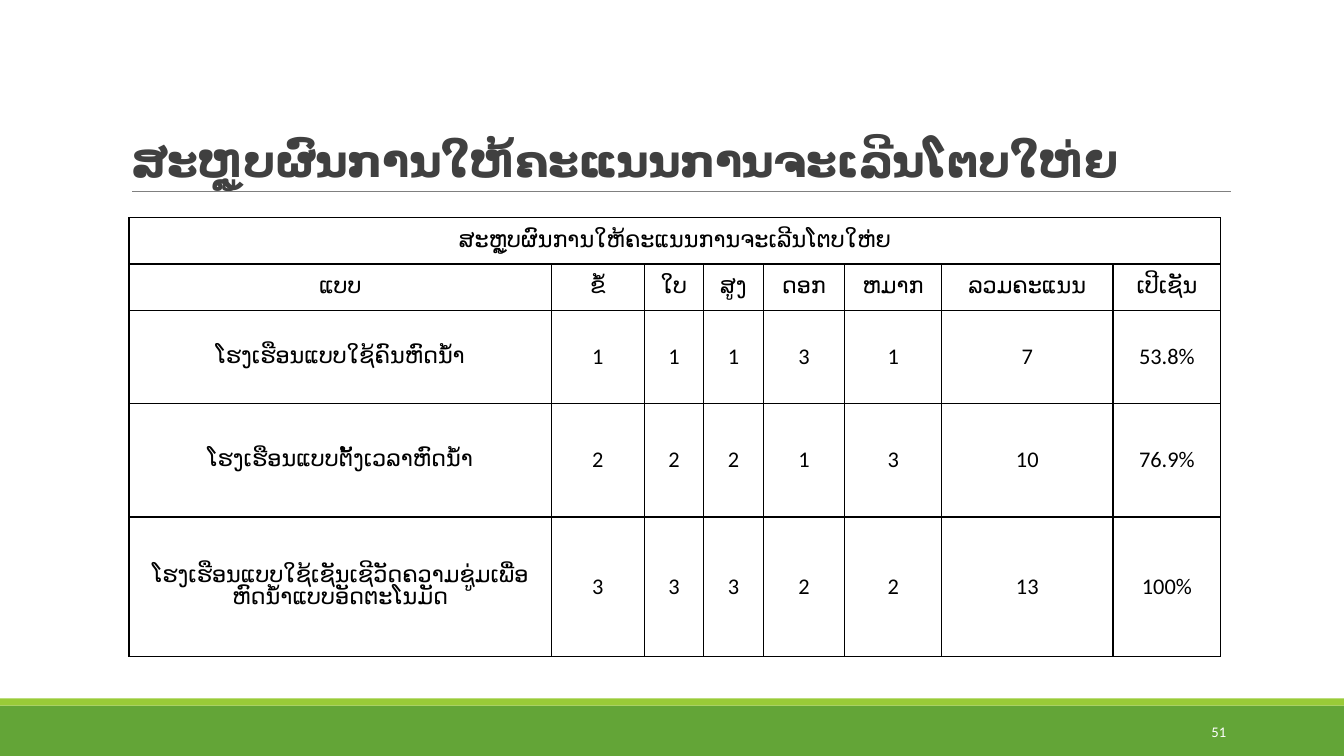
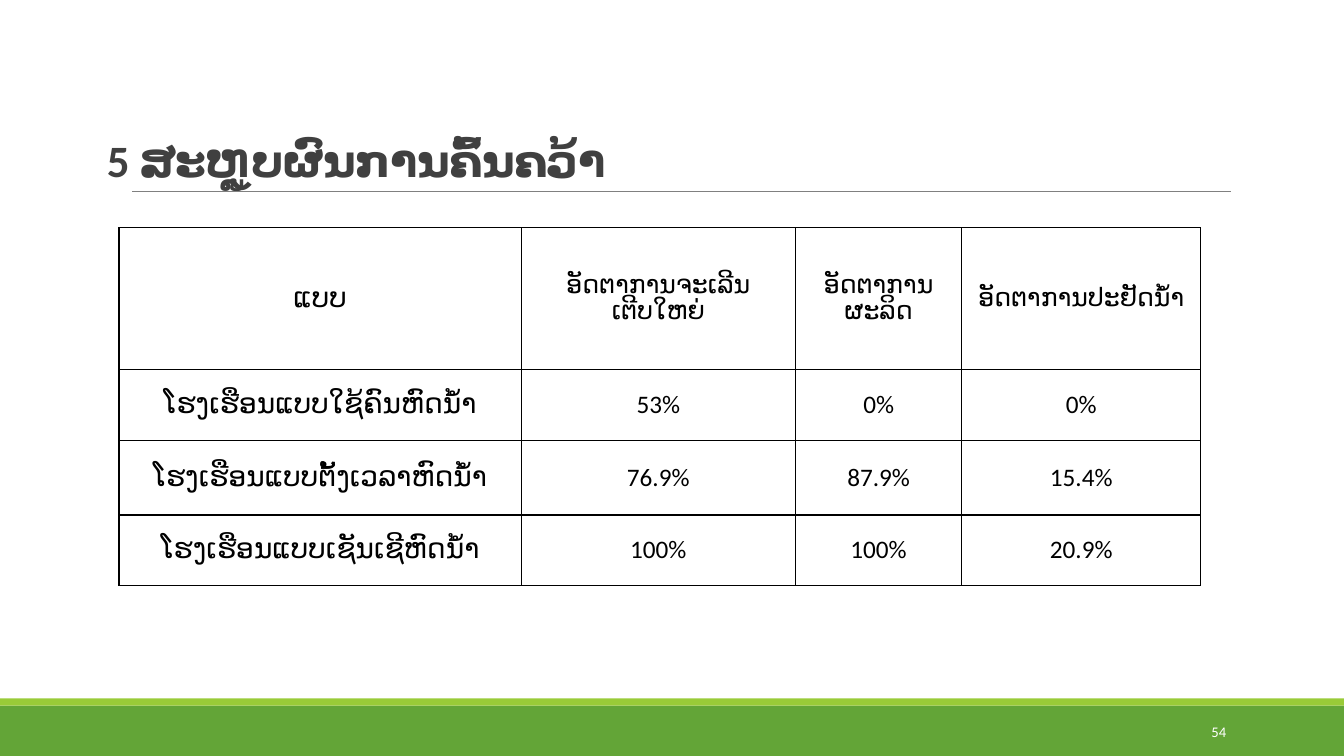
from lxml import etree
from pptx import Presentation, util as u
from pptx.dml.color import RGBColor
from pptx.enum import shapes, text
from pptx.oxml import ns

WIDE, HIGH = 13.33, 7.5
FONT = "Calibri"
HUES = {"band": "63A537", "edge": "99CB38", "rule": "808080",
        "title": "404040", "ink": "000000", "page": "FFFFFF"}
ALIGN = text.PP_ALIGN
MID = text.MSO_ANCHOR.MIDDLE


def hue(name):
    return RGBColor.from_string(HUES[name])


def box(*sizes):
    return [u.Inches(size) for size in sizes]


def write(frame, words, size=16, color="ink", bold=False, align=ALIGN.CENTER,
          lead=None, track=None):
    para = frame.paragraphs[0]
    para.alignment = align
    if lead:
        para.line_spacing = lead
    run = para.add_run()
    run.text = words
    font = run.font
    font.name, font.size, font.bold = FONT, u.Pt(size), bold
    font.color.rgb = hue(color)
    if track:
        run._r.get_or_add_rPr().set("spc", str(int(track * 100)))


def band(slide, top, tall, color):
    bar = slide.shapes.add_shape(shapes.MSO_SHAPE.RECTANGLE,
                                 *box(0, top, WIDE, tall))
    bar.shadow.inherit = False
    bar.fill.solid()
    bar.fill.fore_color.rgb = hue(color)
    bar.line.fill.background()


def rule(slide, left, right, top):
    line = slide.shapes.add_connector(shapes.MSO_CONNECTOR.STRAIGHT,
                                      *box(left, top, right, top))
    line.line.color.rgb = hue("rule")
    line.line.width = u.Pt(0.5)
    etree.SubElement(line._element.spPr, ns.qn("a:effectLst"))


def footer(slide, number):
    band(slide, 7, 0.5, "band")
    band(slide, 6.93, 0.07, "edge")
    note = slide.shapes.add_textbox(*box(10.83, 7.06, 1.43, 0.4))
    frame = note.text_frame
    frame.word_wrap, frame.vertical_anchor = True, MID
    write(frame, number, size=10.5, color="page", align=ALIGN.RIGHT)


def heading(slide, words, left):
    title = slide.shapes.title
    title.left, title.top, title.width, title.height = box(
        left, 0.31, 12.2 - left, 1.59)
    frame = title.text_frame
    frame.auto_size = text.MSO_AUTO_SIZE.NONE
    frame.word_wrap, frame.vertical_anchor = True, text.MSO_ANCHOR.BOTTOM
    write(frame, words, size=32, color="title", bold=True, align=ALIGN.LEFT,
          lead=0.85, track=-0.5)


def outline(cell):
    props = cell._tc.get_or_add_tcPr()
    for side in ("lnL", "lnR", "lnT", "lnB"):
        line = etree.SubElement(props, ns.qn("a:" + side), w=str(u.Pt(1)))
        fill = etree.SubElement(line, ns.qn("a:solidFill"))
        etree.SubElement(fill, ns.qn("a:srgbClr"), val=HUES["ink"])


def grid(slide, left, top, cols, rows, data, size, first):
    """Draw a ruled table; first is the text size of its first column."""
    table = slide.shapes.add_table(
        len(rows), len(cols),
        *box(left, top, sum(cols), sum(rows))).table
    table.first_row = table.horz_banding = False
    for col, wide in zip(table.columns, cols):
        col.width = u.Inches(wide)
    for at, (tall, words) in enumerate(zip(rows, data)):
        table.rows[at].height = u.Inches(tall)
        for col in range(len(cols)):
            cell = table.cell(at, col)
            outline(cell)
            cell.fill.background()
            cell.margin_left = cell.margin_right = u.Inches(0.07)
            cell.margin_top = cell.margin_bottom = 0
            cell.vertical_anchor = MID
            if col < len(words):
                write(cell.text_frame, words[col], size=size if col else first)
        if len(words) == 1:
            table.cell(at, 0).merge(table.cell(at, len(cols) - 1))


def page(deck, title, start, number, **table):
    """Build a slide whose title begins at start and which holds a table."""
    slide = deck.slides.add_slide(deck.slide_layouts[5])
    footer(slide, number)
    rule(slide, 1.31, 12.21, 1.9)
    heading(slide, title, start)
    grid(slide, **table)


def main():
    deck = Presentation()
    deck.slide_width, deck.slide_height = box(WIDE, HIGH)
    growth = "ສະຫຼູບຜົນການໃຫ້ຄະແນນການຈະເລີນໂຕບໃຫ່ຍ"
    page(deck, growth, 1.2, "51", left=1.28, top=2.16, size=16, first=16,
         cols=[4.19, 0.92, 0.59, 0.59, 0.81, 0.96, 1.7, 1.07],
         rows=[0.46, 0.46, 0.92, 1.13, 1.38],
         data=[
             [growth],
             ["ແບບ", "ຂໍ້", "ໃບ", "ສູງ", "ດອກ", "ຫມາກ", "ລວມຄະແນນ",
              "ເປີເຊັນ"],
             ["ໂຮງເຮືອນແບບໃຊ້ຄົນຫົດນ້ຳ",
              "1", "1", "1", "3", "1", "7", "53.8%"],
             ["ໂຮງເຮືອນແບບຕັ້ງເວລາຫົດນ້ຳ",
              "2", "2", "2", "1", "3", "10", "76.9%"],
             ["ໂຮງເຮືອນແບບໃຊ້ເຊັນເຊີວັດຄວາມຊູ່ມເພື່ອຫົດນ້ຳແບບອັດຕະໂນມັດ",
              "3", "3", "3", "2", "2", "13", "100%"]])
    page(deck, "5 ສະຫຼູບຜົນການຄົ້ນຄວ້າ", 0.96, "54",
         left=1.18, top=2.26, size=18, first=20,
         cols=[3.99, 2.72, 1.65, 2.37], rows=[1.41, 0.7, 0.74, 0.7],
         data=[
             ["ແບບ", "ອັດຕາການຈະເລີນເຕີບໃຫຍ່", "ອັດຕາການຜະລິດ",
              "ອັດຕາການປະຢັດນໍ້າ"],
             ["ໂຮງເຮືອນແບບໃຊ້ຄົນຫົດນໍ້າ", "53%", "0%", "0%"],
             ["ໂຮງເຮືອນແບບຕັ້ງເວລາຫົດນໍ້າ", "76.9%", "87.9%", "15.4%"],
             ["ໂຮງເຮືອນແບບເຊັນເຊີຫົດນໍ້າ", "100%", "100%", "20.9%"]])
    deck.save("out.pptx")


if __name__ == "__main__":
    main()
